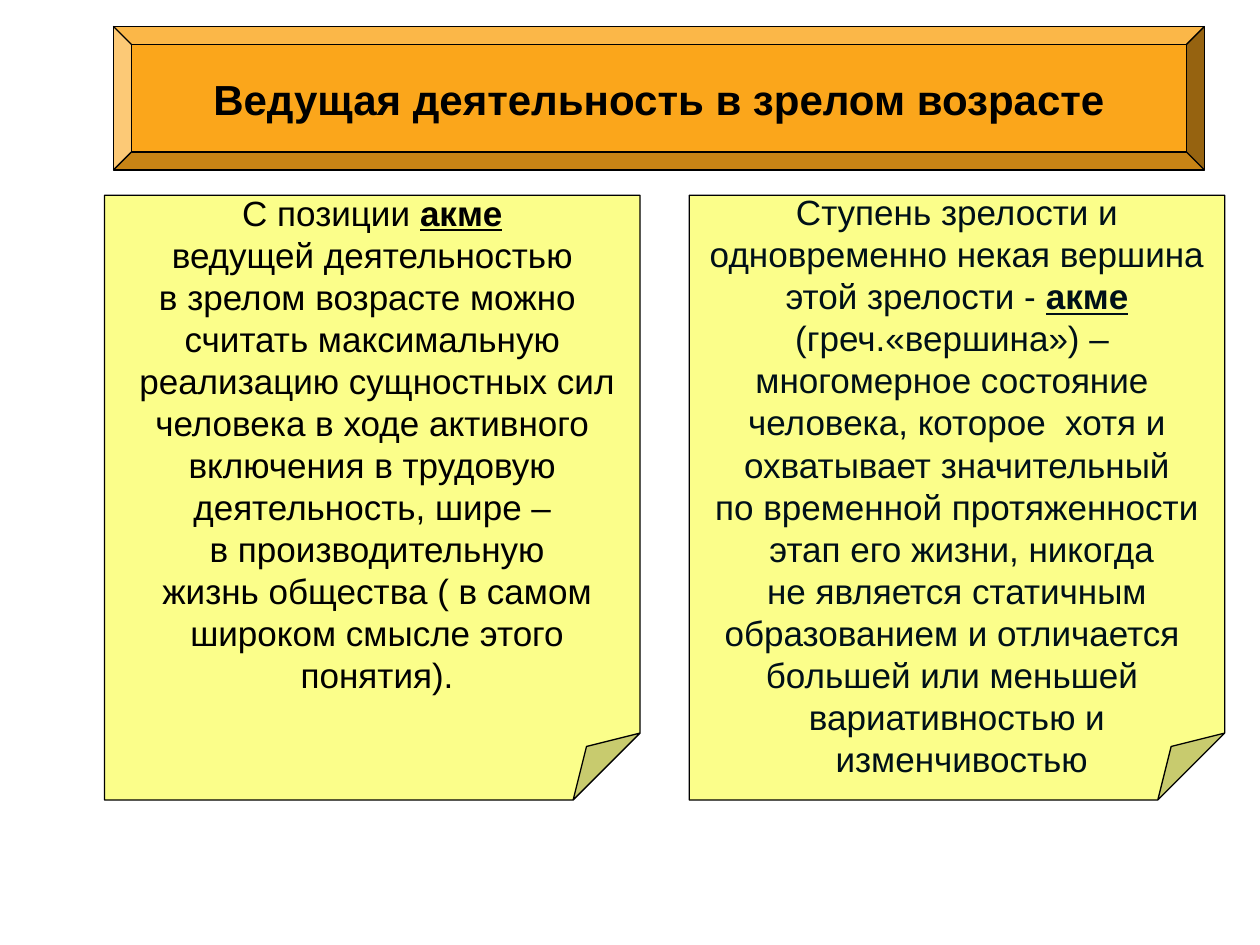
import dataclasses

import lxml.etree
import pptx
import pptx.dml.color
import pptx.enum.shapes
import pptx.enum.text
import pptx.oxml.ns
import pptx.util

Inches = pptx.util.Inches
Shapes = pptx.enum.shapes.MSO_SHAPE
Box = tuple[float, float, float, float]


def rgb(value):
    return pptx.dml.color.RGBColor.from_string(value)


@dataclasses.dataclass(frozen=True)
class Theme:
    font: str = "Arial"
    black: str = "000000"
    ink: str = "001018"
    banner: str = "FBA61B"
    note: str = "FBFE8A"
    title_size: int = 24
    note_size: int = 20
    note_leading: int = 24
    line_width: float = 0.75


THEME = Theme()

LEFT_LINES = [
    "С позиции акмеологии",
    " ведущей деятельностью ",
    "в зрелом возрасте можно ",
    "считать максимальную",
    " реализацию сущностных сил",
    " человека в ходе активного ",
    "включения в трудовую",
    "деятельность, шире –",
    " в производительную",
    " жизнь общества ( в самом",
    " широком смысле этого",
    " понятия).",
]
KEY_TERM = "акме"
RIGHT_LINES = [
    "Ступень зрелости и",
    " одновременно некая вершина ",
    "этой зрелости - " + KEY_TERM,
    "(греч.«вершина») – ",
    "многомерное состояние ",
    "человека, которое  хотя и",
    " охватывает значительный ",
    "по временной протяженности",
    " этап его жизни, никогда",
    " не является статичным ",
    "образованием и отличается ",
    "большей или меньшей ",
    "вариативностью и",
    " изменчивостью",
]


def add_panel(page, kind, box: Box, fill):
    """Add an outlined preset shape with a flat fill."""
    panel = page.shapes.add_shape(kind, *map(Inches, box))
    panel.shadow.inherit = False
    panel.fill.solid()
    panel.fill.fore_color.rgb = rgb(fill)
    panel.line.color.rgb = rgb(THEME.black)
    panel.line.width = pptx.util.Pt(THEME.line_width)
    return panel


def set_fold(panel, share):
    """Size the folded corner, which has no public adjustment."""
    qn = pptx.oxml.ns.qn
    geometry = panel._element.spPr.find(qn("a:prstGeom"))
    guides = geometry.find(qn("a:avLst"))
    if guides is None:
        guides = lxml.etree.SubElement(geometry, qn("a:avLst"))
    lxml.etree.SubElement(guides, qn("a:gd"), name="adj",
                          fmla=f"val {round(share * 100000)}")


def center_text(frame):
    frame.word_wrap = False
    frame.auto_size = pptx.enum.text.MSO_AUTO_SIZE.NONE
    frame.vertical_anchor = pptx.enum.text.MSO_ANCHOR.MIDDLE


def add_span(para, text, size, color, bold=False, underline=False):
    para.alignment = pptx.enum.text.PP_ALIGN.CENTER
    span = para.add_run()
    span.text = text
    span.font.name = THEME.font
    span.font.size = pptx.util.Pt(size)
    span.font.color.rgb = rgb(color)
    span.font.bold = bold
    span.font.underline = underline


def add_banner(page, box: Box, text):
    """Put the slide title on a bevelled plate."""
    add_panel(page, Shapes.BEVEL, box, THEME.banner)
    title = page.shapes.title
    title.left, title.top, title.width, title.height = map(Inches, box)
    # Bring the title in front of its plate.
    page.shapes._spTree.append(title._element)
    center_text(title.text_frame)
    add_span(title.text_frame.paragraphs[0], text, THEME.title_size,
             THEME.black, bold=True)


def add_note(page, box: Box, lines, color, top_inset=0.05, bottom_inset=0.05):
    """Add a folded sheet with fixed lines, stressing the key term."""
    note = add_panel(page, Shapes.FOLDED_CORNER, box, THEME.note)
    set_fold(note, 0.125)
    frame = note.text_frame
    center_text(frame)
    frame.margin_top = Inches(top_inset)
    frame.margin_bottom = Inches(bottom_inset)
    for index, line in enumerate(lines):
        para = frame.add_paragraph() if index else frame.paragraphs[0]
        para.line_spacing = pptx.util.Pt(THEME.note_leading)
        plain, term, _ = line.partition(" " + KEY_TERM)
        add_span(para, plain + " " if term else plain, THEME.note_size, color)
        if term:
            add_span(para, KEY_TERM, THEME.note_size, color,
                     bold=True, underline=True)


def main():
    deck = pptx.Presentation()
    deck.slide_width, deck.slide_height = Inches(10), Inches(7.5)
    page = deck.slides.add_slide(deck.slide_layouts.get_by_name("Title Only"))
    add_banner(page, (0.9, 0.21, 8.66, 1.14),
               "Ведущая деятельность в зрелом возрасте")
    # Uneven insets make both notes start on the same line.
    add_note(page, (0.83, 1.55, 4.25, 4.8), LEFT_LINES, THEME.black,
             bottom_inset=0.38)
    add_note(page, (5.47, 1.55, 4.25, 4.8), RIGHT_LINES, THEME.ink,
             top_inset=0.38)
    deck.save("out.pptx")


if __name__ == "__main__":
    main()
